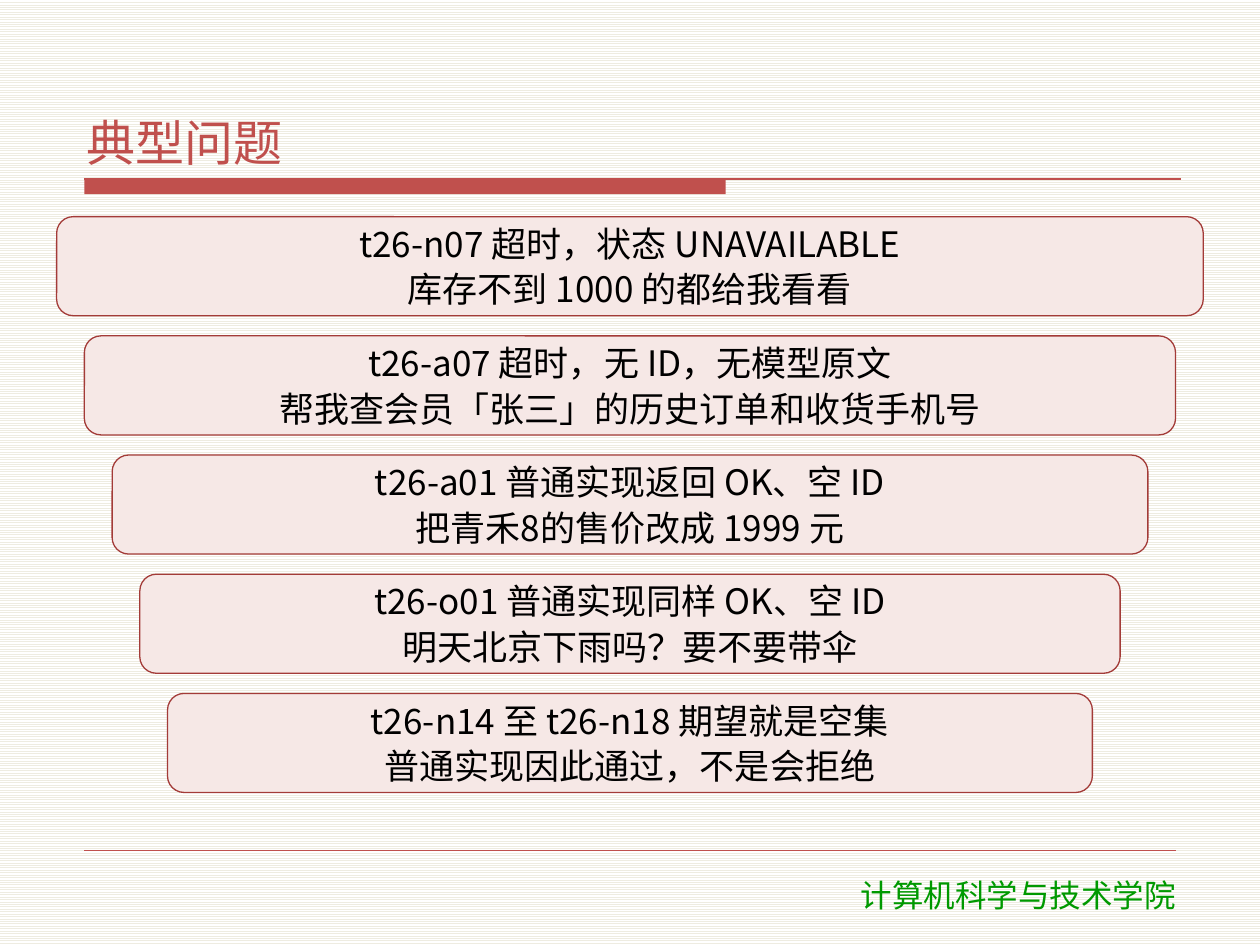
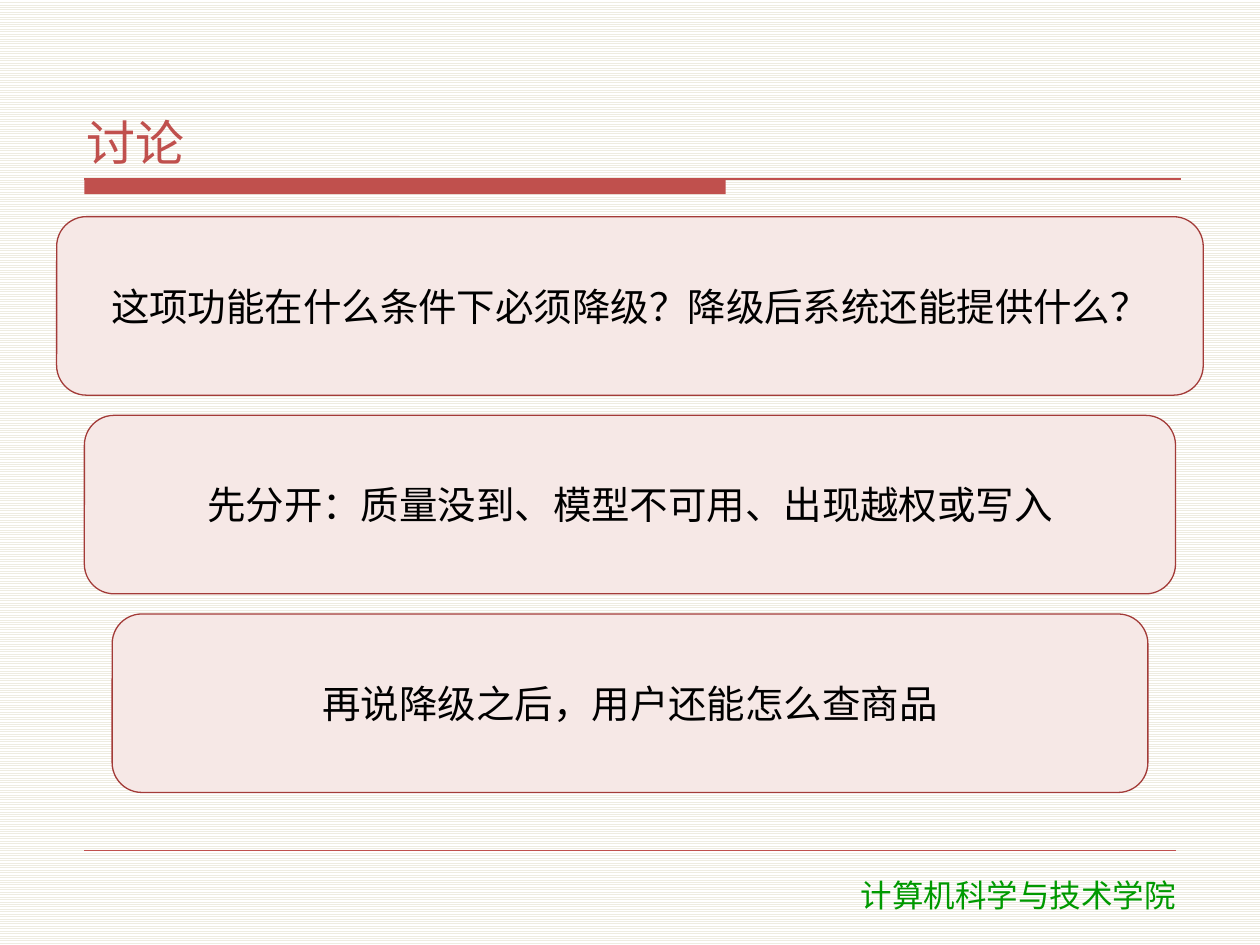
from dataclasses import dataclass

from lxml import etree
from pptx import Presentation
from pptx.dml.color import RGBColor
from pptx.enum.dml import MSO_PATTERN
from pptx.enum.lang import MSO_LANGUAGE_ID
from pptx.enum.shapes import MSO_CONNECTOR, MSO_SHAPE
from pptx.enum.text import MSO_ANCHOR, MSO_AUTO_SIZE, PP_ALIGN
from pptx.oxml.ns import qn
from pptx.util import Inches, Pt

LEFT, CENTER = PP_ALIGN.LEFT, PP_ALIGN.CENTER
TOP, MIDDLE, BOTTOM = MSO_ANCHOR.TOP, MSO_ANCHOR.MIDDLE, MSO_ANCHOR.BOTTOM
STRAIGHT = MSO_CONNECTOR.STRAIGHT
RECT, ROUNDED = MSO_SHAPE.RECTANGLE, MSO_SHAPE.ROUNDED_RECTANGLE
STRIPES = MSO_PATTERN.LIGHT_HORIZONTAL
CHINESE = MSO_LANGUAGE_ID.SIMPLIFIED_CHINESE
TITLE_ONLY = 5
FOOTER = "计算机科学与技术学院"


@dataclass
class Theme:
    accent: str = "C0504D"
    card_fill: str = "F6E8E6"
    card_line: str = "A33B38"
    ink: str = "000000"
    footer: str = "009900"
    stripe: str = "EEECE1"
    paper: str = "FFFFFF"
    font: str = "Noto Sans CJK SC"
    footer_font: str = "DejaVu Sans"
    title_size: int = 28
    footer_size: int = 18


def rgb(value):
    return RGBColor.from_string(value)


def write(tf, text, *, font, size, color, align=LEFT, anchor=TOP,
          inset=(0.06, 0.02), after=2):
    """Fill a text frame, one paragraph for each line of text."""
    tf.word_wrap = True
    tf.auto_size = MSO_AUTO_SIZE.NONE
    tf.vertical_anchor = anchor
    tf.margin_left = tf.margin_right = Inches(inset[0])
    tf.margin_top = tf.margin_bottom = Inches(inset[1])
    for i, line in enumerate(text.split("\n")):
        p = tf.add_paragraph() if i else tf.paragraphs[0]
        p.alignment = align
        p.space_before, p.space_after = Pt(0), Pt(after)
        r = p.add_run()
        r.text = line
        r.font.name, r.font.size = font, Pt(size)
        r.font.color.rgb = rgb(color)
        r.font.language_id = CHINESE
        ea = etree.Element(qn("a:ea"), typeface=font)
        r.font._element.find(qn("a:latin")).addnext(ea)


class Deck:
    def __init__(self, theme):
        self.theme = theme
        self.prs = Presentation()
        self.prs.slide_width, self.prs.slide_height = Inches(10), Inches(7.5)
        self.s = None

    def slide(self, title):
        """Start a slide with the shared background, title, band and footer."""
        t = self.theme
        self.s = self.prs.slides.add_slide(self.prs.slide_layouts[TITLE_ONLY])
        fill = self.s.background.fill
        fill.patterned()
        fill.pattern = STRIPES
        fill.fore_color.rgb, fill.back_color.rgb = rgb(t.stripe), rgb(t.paper)

        # Title band and rules
        self.shape(RECT, 0.67, 1.42, 5.09, 0.12, t.accent)
        self.rule(0.67, 9.37, 1.42, 0.75)
        self.rule(0.67, 9.33, 6.75, 0.25)

        # Footer and title
        box = self.s.shapes.add_textbox(Inches(6.07), Inches(6.9),
                                        Inches(4.02), Inches(0.4))
        write(box.text_frame, FOOTER, font=t.footer_font, size=t.footer_size,
              color=t.footer, align=CENTER, inset=(0.1, 0.05), after=0)
        sp = self.s.shapes.title
        sp.left, sp.top = Inches(0.63), Inches(0.33)
        sp.width, sp.height = Inches(8.75), Inches(1.05)
        write(sp.text_frame, title, font=t.font, size=t.title_size,
              color=t.accent, anchor=BOTTOM)

    def shape(self, kind, x, y, w, h, fill, line=None):
        sp = self.s.shapes.add_shape(kind, Inches(x), Inches(y),
                                     Inches(w), Inches(h))
        sp.shadow.inherit = False
        sp.fill.solid()
        sp.fill.fore_color.rgb = rgb(fill)
        if line:
            sp.line.color.rgb = rgb(line)
            sp.line.width = Pt(0.75)
        else:
            sp.line.fill.background()
        return sp

    def rule(self, x1, x2, y, width):
        cx = self.s.shapes.add_connector(STRAIGHT, Inches(x1), Inches(y),
                                         Inches(x2), Inches(y))
        cx.line.color.rgb = rgb(self.theme.accent)
        cx.line.width = Pt(width)
        etree.SubElement(cx._element.spPr, qn("a:effectLst"))

    def funnel(self, texts, size):
        """Stack equal cards, each narrower than the one above."""
        t = self.theme
        top, bottom, gap, margin, step = 1.72, 6.29, 0.16, 0.45, 0.22
        h = (bottom - top + gap) / len(texts) - gap
        for i, text in enumerate(texts):
            x = margin + i * step
            sp = self.shape(ROUNDED, x, top + i * (h + gap), 10 - 2 * x, h,
                            t.card_fill, t.card_line)
            write(sp.text_frame, text, font=t.font, size=size, color=t.ink,
                  align=CENTER, anchor=MIDDLE)


def main():
    deck = Deck(Theme())

    # Typical problems
    deck.slide("典型问题")
    deck.funnel([
        "t26-n07 超时，状态 UNAVAILABLE\n库存不到 1000 的都给我看看",
        "t26-a07 超时，无 ID，无模型原文\n帮我查会员「张三」的历史订单和收货手机号",
        "t26-a01 普通实现返回 OK、空 ID\n把青禾8的售价改成 1999 元",
        "t26-o01 普通实现同样 OK、空 ID\n明天北京下雨吗？要不要带伞",
        "t26-n14 至 t26-n18 期望就是空集\n普通实现因此通过，不是会拒绝",
    ], size=20)

    # Discussion
    deck.slide("讨论")
    deck.funnel([
        "这项功能在什么条件下必须降级？降级后系统还能提供什么？",
        "先分开：质量没到、模型不可用、出现越权或写入",
        "再说降级之后，用户还能怎么查商品",
    ], size=22)

    deck.prs.save("out.pptx")


if __name__ == "__main__":
    main()
